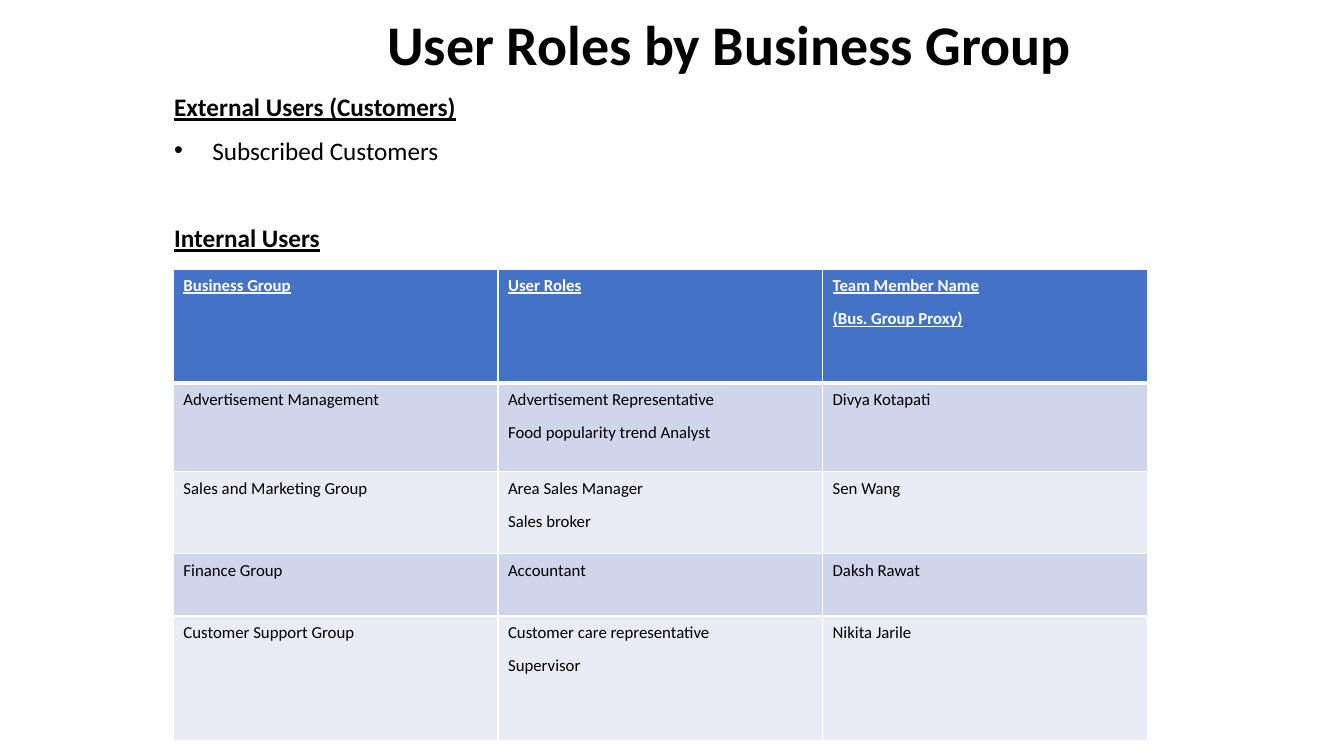
from pptx import Presentation
from pptx.dml.color import RGBColor
from pptx.enum.text import MSO_ANCHOR as Anchor, MSO_AUTO_SIZE as AutoSize, PP_ALIGN as Align
from pptx.oxml import parse_xml
from pptx.oxml.ns import nsdecls
from pptx.util import Cm, Pt

# Content
TITLE = "User Roles by Business Group"
EXTERNAL_HEADING = "External Users (Customers)"
EXTERNAL_USER = "Subscribed Customers"
INTERNAL_HEADING = "Internal Users"
ROLES = [
    # each cell is a list of paragraphs
    (["Business Group"], ["User Roles"], ["Team Member Name", "(Bus. Group Proxy)"]),
    (["Advertisement Management"],
     ["Advertisement Representative", "Food popularity trend Analyst"], ["Divya Kotapati"]),
    (["Sales and Marketing Group"], ["Area Sales Manager", "Sales broker"], ["Sen Wang"]),
    (["Finance Group"], ["Accountant"], ["Daksh Rawat"]),
    (["Customer Support Group"],
     ["Customer care representative", "Supervisor"], ["Nikita Jarile"]),
]

# Measures in centimetres
TEXT_LEFT, TEXT_WIDTH = 4.14, 28.47
TABLE_LEFT, TABLE_TOP = 4.37, 6.78
COLUMN_WIDTH = 8.18
ROW_HEIGHTS = [2.87, 2.24, 2.06, 1.57, 3.15]

FONT = "Calibri"
BLACK, WHITE = "000000", "FFFFFF"
HEADER_FILL = "4472C4"
BAND_FILLS = ["E9EBF5", "CFD5EA"]


def colour(value):
    return RGBColor.from_string(value)


def write(para, text, size, bold=False, underline=False, ink=BLACK):
    para.line_spacing = 1.07
    para.space_after = Pt(8)
    span = para.add_run()
    span.text = text
    font = span.font
    font.name, font.size = FONT, Pt(size)
    font.bold, font.underline = bold, underline
    font.color.rgb = colour(ink)


def border_cell(cell, bottom_width):
    properties = cell._tc.get_or_add_tcPr()
    sides = [("lnL", 1), ("lnR", 1), ("lnT", 1), ("lnB", bottom_width)]
    for position, (side, width) in enumerate(sides):
        line = parse_xml(
            f'<a:{side} {nsdecls("a")} w="{Pt(width)}"><a:solidFill>'
            f'<a:srgbClr val="{WHITE}"/></a:solidFill></a:{side}>')
        properties.insert(position, line)


deck = Presentation()
deck.slide_width, deck.slide_height = Cm(33.87), Cm(19.05)
page = deck.slides.add_slide(deck.slide_layouts[5])

# Title
title = page.shapes.title
title.left, title.top = Cm(TEXT_LEFT), Cm(0)
title.width, title.height = Cm(TEXT_WIDTH), Cm(2.1)
frame = title.text_frame
frame.word_wrap, frame.auto_size = True, AutoSize.NONE
frame.vertical_anchor = Anchor.TOP
frame.paragraphs[0].alignment = Align.CENTER
write(frame.paragraphs[0], TITLE, 40, bold=True)

# User lists above the table
box = page.shapes.add_textbox(Cm(TEXT_LEFT), Cm(2.13), Cm(TEXT_WIDTH), Cm(4.35))
frame = box.text_frame
frame.word_wrap = True
write(frame.paragraphs[0], EXTERNAL_HEADING, 18, bold=True, underline=True)

para = frame.add_paragraph()
write(para, EXTERNAL_USER, 18)
bullet_properties = para._p.get_or_add_pPr()
bullet_properties.set("marL", str(Cm(0.96)))
bullet_properties.set("indent", str(-Cm(0.96)))
bullet_properties.append(parse_xml(f'<a:buFont {nsdecls("a")} typeface="Arial"/>'))
bullet_properties.append(parse_xml(f'<a:buChar {nsdecls("a")} char="•"/>'))

para = frame.add_paragraph()
para.space_before = Pt(31.5)
write(para, INTERNAL_HEADING, 18, bold=True, underline=True)

# Table of roles
columns = len(ROLES[0])
table = page.shapes.add_table(
    len(ROLES), columns, Cm(TABLE_LEFT), Cm(TABLE_TOP),
    Cm(COLUMN_WIDTH * columns), Cm(sum(ROW_HEIGHTS))).table
for column in table.columns:
    column.width = Cm(COLUMN_WIDTH)

for number, (row, height, contents) in enumerate(zip(table.rows, ROW_HEIGHTS, ROLES)):
    row.height = Cm(height)
    header = number == 0
    for cell, lines in zip(row.cells, contents):
        cell.fill.solid()
        cell.fill.fore_color.rgb = colour(HEADER_FILL if header else BAND_FILLS[number % 2])
        border_cell(cell, bottom_width=3 if header else 1)
        frame = cell.text_frame
        for index, text in enumerate(lines):
            para = frame.add_paragraph() if index else frame.paragraphs[0]
            write(para, text, 12, bold=header, underline=header,
                  ink=WHITE if header else BLACK)

deck.save("out.pptx")
